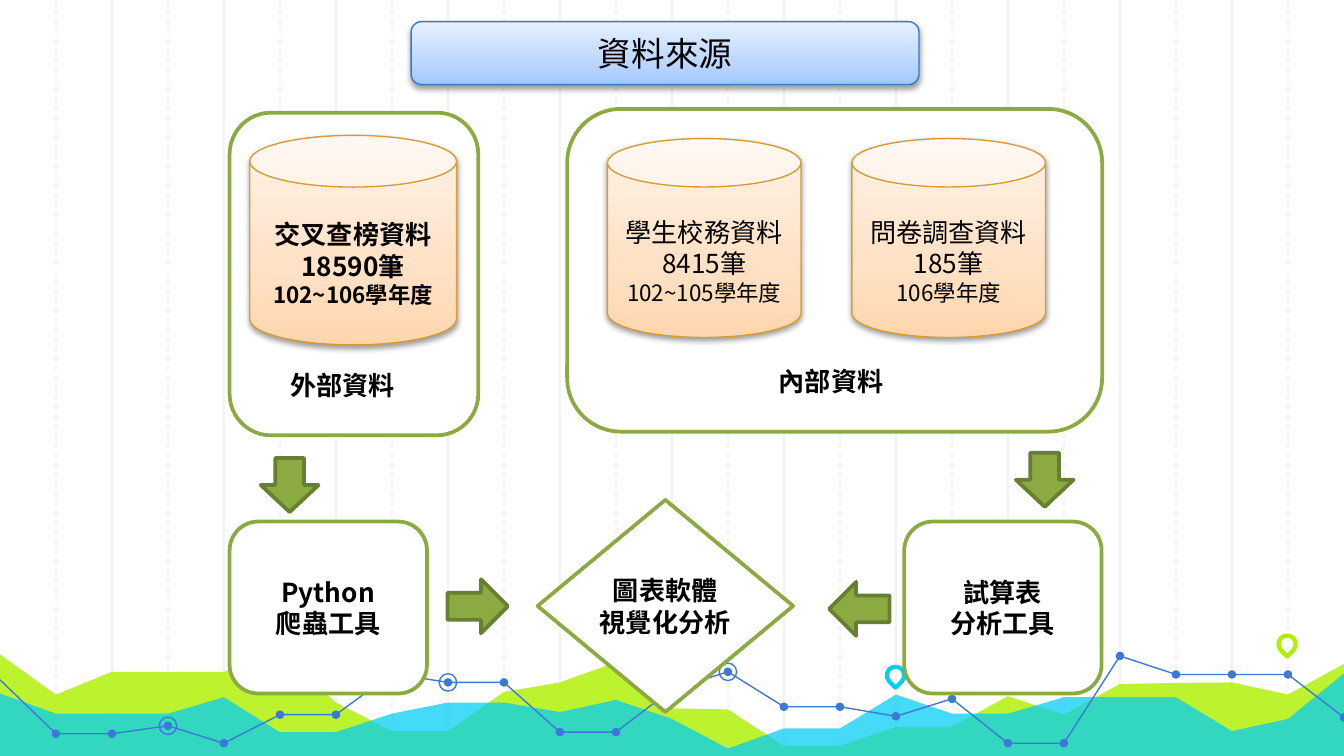
from copy import deepcopy

from lxml import etree
from pptx import Presentation
from pptx.dml.color import RGBColor
from pptx.enum.dml import MSO_LINE
from pptx.enum.shapes import MSO_CONNECTOR, MSO_SHAPE
from pptx.enum.text import MSO_ANCHOR, PP_ALIGN
from pptx.oxml.ns import qn
from pptx.util import Cm, Pt

DASH = MSO_LINE.DASH
STRAIGHT = MSO_CONNECTOR.STRAIGHT
ROUND_RECT, CAN, DIAMOND = MSO_SHAPE.ROUNDED_RECTANGLE, MSO_SHAPE.CAN, MSO_SHAPE.FLOWCHART_DECISION
OVAL, TEAR = MSO_SHAPE.OVAL, MSO_SHAPE.TEAR
DOWN, RIGHT, LEFT = MSO_SHAPE.DOWN_ARROW, MSO_SHAPE.RIGHT_ARROW, MSO_SHAPE.LEFT_ARROW
MIDDLE, CENTER = MSO_ANCHOR.MIDDLE, PP_ALIGN.CENTER

FONT = "Noto Sans CJK SC"
WIDTH, HEIGHT = 25.4, 14.29
COLUMNS = 24
STEP = WIDTH / COLUMNS
GREEN, DARK_GREEN, LIME, CYAN, BLUE = "8BAB42", "677F31", "AFF000", "00CEF6", "3C78D8"
BLUE_STOPS = [(0, "A0C8FF"), (0.35, "BCD7FF"), (1, "E5F0FF")]
ORANGE_STOPS = [(0, "FFD6AD"), (0.35, "FFE1C5"), (1, "FFF3E9")]

# Depth below the top of the bottom band, one value per grid column
LIME_AREA = [0.07, 0.83, 0.4, 0.4, 0.4, 0.04, 0.98, 1.52, 1.52, 0.78, 0.6, 0.22, 1.09,
             1.11, 1.8, 1.8, 1.44, 1.44, 0.86, 1.21, 0.63, 0.61, 0.6, 0.83, 0.25]
CYAN_AREA = [0.81, 1.19, 1.19, 1.19, 0.88, 1.54, 1.54, 1.19, 0.98, 0.98, 1.16, 0.93, 1.29,
             1.85, 1.47, 1.47, 0.83, 1.19, 1.19, 0.88, 0.88, 0.88, 1.52, 1.29, 0.43]
TREND = [0.55, 1.57, 1.57, 1.42, 1.75, 1.21, 1.21, 0.43, 0.6, 0.6, 1.54, 1.54, 0.73,
         0.4, 1.06, 1.06, 1.24, 0.91, 1.75, 1.75, 0.1, 0.45, 0.45, 0.45, 1.26]
RINGED = (3, 8, 13)


def rgb(value):
    return RGBColor.from_string(value)


def paint(sp, fill=None, line=None, width=0.75):
    sp.shadow.inherit = False
    if fill:
        sp.fill.solid()
        sp.fill.fore_color.rgb = rgb(fill)
    else:
        sp.fill.background()
    if line:
        sp.line.color.rgb = rgb(line)
        sp.line.width = Pt(width)
    else:
        sp.line.fill.background()


def add_shape(s, kind, box, fill=None, line=None, width=0.75):
    sp = s.shapes.add_shape(kind, *map(Cm, box))
    paint(sp, fill, line, width)
    return sp


def add_glossy_shape(s, kind, box, stops, line):
    """Shape with a three-stop gradient rising from the bottom and a soft shadow."""
    sp = add_shape(s, kind, box, line=line)
    sp.fill.gradient()
    sp.fill.gradient_angle = 90
    stop_list = next(sp._element.spPr.iter(qn("a:gsLst")))
    stop_list.insert(1, deepcopy(stop_list[0]))
    for stop, (position, color) in zip(sp.fill.gradient_stops, stops):
        stop.position = position
        stop.color.rgb = rgb(color)
    effects = sp._element.spPr.find(qn("a:effectLst"))
    shadow = etree.SubElement(effects, qn("a:outerShdw"), blurRad="40000", dist="20000",
                              dir="5400000", rotWithShape="0")
    color = etree.SubElement(shadow, qn("a:srgbClr"), val="000000")
    etree.SubElement(color, qn("a:alpha"), val="38000")
    return sp


def write(sp, lines, bold=False, top=0):
    """Fill a shape with centred (text, size) lines."""
    tf = sp.text_frame
    tf.word_wrap = False
    tf.vertical_anchor = MIDDLE
    tf.margin_left = tf.margin_right = tf.margin_bottom = 0
    tf.margin_top = Cm(top)
    for i, (text, size) in enumerate(lines):
        p = tf.add_paragraph() if i else tf.paragraphs[0]
        p.text = text
        p.alignment = CENTER
        p.line_spacing = Pt(size * 1.2)
        p.font.size = Pt(size)
        p.font.bold = bold
        p.font.color.rgb = rgb("000000")
        p.font.name = FONT
        etree.SubElement(p._p.pPr.find(qn("a:defRPr")), qn("a:ea"), typeface=FONT)


def add_grid(s, box):
    x, y, w, h = box
    for i in range(1, COLUMNS):
        at = Cm(x + i * w / COLUMNS)
        c = s.shapes.add_connector(STRAIGHT, at, Cm(y), at, Cm(y + h))
        c.line.color.rgb = rgb("F3F3F3")
        c.line.width = Pt(0.75)
        if i % 2:
            c.line.dash_style = DASH
        etree.SubElement(c._element.spPr, qn("a:effectLst"))


def add_outline(s, points, close):
    points = [(Cm(x), Cm(y)) for x, y in points]
    builder = s.shapes.build_freeform(*points[0])
    builder.add_line_segments(points[1:], close=close)
    return builder.convert_to_shape()


def add_circle(s, center, size, **style):
    x, y = center
    add_shape(s, OVAL, (x - size / 2, y - size / 2, size, size), **style)


def add_chart_band(s, box):
    """Decorative areas, trend line and pins along the bottom."""
    x, y, w, h = box

    def place(depths):
        return [(x + i * STEP, y + depth) for i, depth in enumerate(depths)]

    for depths, color, alpha in ((LIME_AREA, LIME, 82), (CYAN_AREA, CYAN, 73)):
        area = add_outline(s, place(depths) + [(x + w, y + h), (x, y + h)], True)
        paint(area, color)
        fill = next(area._element.spPr.iter(qn("a:srgbClr")))
        etree.SubElement(fill, qn("a:alpha"), val=str(alpha * 1000))

    trend = place(TREND)
    paint(add_outline(s, trend, False), line=BLUE)
    for point in trend[1:]:
        add_circle(s, point, 0.16, fill=BLUE)
    for i in RINGED:
        add_circle(s, trend[i], 0.33, line=BLUE)
    for dx, dy, color in ((16.76, 0.3, CYAN), (24.16, -0.29, LIME)):
        pin = add_shape(s, TEAR, (x + dx, y + dy, 0.33, 0.33), line=color, width=2.25)
        pin.rotation = 135


def add_title(s, box):
    write(add_glossy_shape(s, ROUND_RECT, box, BLUE_STOPS, "367EB9"), [("資料來源", 18)])


def add_source_panel(s, box, label, label_center, can_size, cans, bold=False):
    """Framed panel of data cylinders; cans holds (dx, dy, texts)."""
    x, y, w, h = box
    add_shape(s, ROUND_RECT, box, "FFFFFF", GREEN, 2)
    for dx, dy, texts in cans:
        can = add_glossy_shape(s, CAN, (x + dx, y + dy, *can_size), ORANGE_STOPS, "D79D34")
        write(can, list(zip(texts, (14, 14, 12))), bold, top=0.4)
    tb = s.shapes.add_textbox(*map(Cm, (x + label_center - 1.5, y + 4.72, 3, 0.86)))
    write(tb, [(label, 14)], bold=True)


def add_tool(s, kind, box, texts):
    write(add_shape(s, kind, box, "FFFFFF", GREEN, 2), [(t, 14) for t in texts], bold=True)


def add_flow(s, box):
    """Tools and the arrows leading to them, below the source panels."""
    x, y, w, h = box
    for kind, dx, dy, aw in ((DOWN, 0.59, 0.1, 1.09), (DOWN, 14.86, 0, 1.09),
                             (RIGHT, 4.12, 2.39, 1.14), (LEFT, 11.33, 2.44, 1.14)):
        add_shape(s, kind, (x + dx, y + dy, aw, 1.02), GREEN, DARK_GREEN, 2)
    tool_w, tool_h = 3.73, 3.25
    add_tool(s, ROUND_RECT, (x, y + 1.3, tool_w, tool_h), ["Python", "爬蟲工具"])
    add_tool(s, ROUND_RECT, (x + w - tool_w, y + 1.3, tool_w, tool_h), ["試算表", "分析工具"])
    add_tool(s, DIAMOND, (x + 5.82, y + 0.89, 4.83, h - 0.89), ["圖表軟體", "視覺化分析"])


def main():
    prs = Presentation()
    prs.slide_width, prs.slide_height = Cm(WIDTH), Cm(HEIGHT)
    s = prs.slides.add_slide(prs.slide_layouts[6])
    add_grid(s, (0, 0, WIDTH, HEIGHT))
    add_chart_band(s, (0, 12.3, WIDTH, HEIGHT - 12.3))
    add_title(s, (7.77, 0.41, 9.6, 1.19))
    add_source_panel(s, (4.34, 2.13, 4.7, 6.1), "外部資料", 2.14, (3.91, 3.96),
                     [(0.38, 0.43, ["交叉查榜資料", "18590筆", "102~106學年度"])], bold=True)
    add_source_panel(s, (10.72, 2.06, 10.11, 6.1), "內部資料", 4.99, (3.66, 3.76),
                     [(0.76, 0.56, ["學生校務資料", "8415筆", "102~105學年度"]),
                      (5.38, 0.56, ["問卷調查資料", "185筆", "106學年度"])])
    add_flow(s, (4.34, 8.56, 16.48, 4.9))
    prs.save("out.pptx")


if __name__ == "__main__":
    main()
